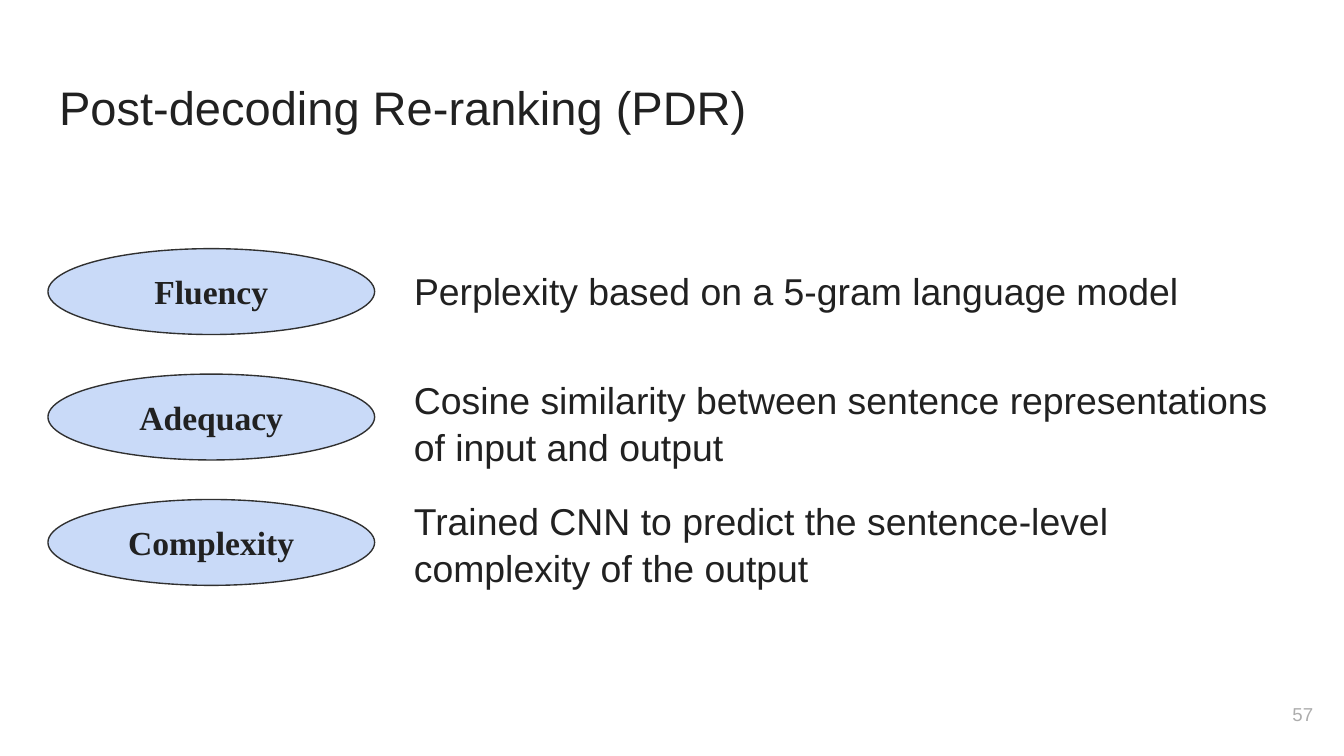
from pptx import Presentation
from pptx.dml.color import RGBColor as RGB
from pptx.enum.shapes import MSO_SHAPE as Form
from pptx.enum.text import MSO_ANCHOR as Anchor, MSO_AUTO_SIZE as Fit, PP_ALIGN as Align
from pptx.oxml.ns import qn
from pptx.util import Pt
from lxml.etree import SubElement

INK = RGB(0x21, 0x21, 0x21)
EDGE = RGB(0x30, 0x30, 0x30)
BLUE = RGB(0xC9, 0xDA, 0xF8)
GRAY = RGB(0xAD, 0xAD, 0xAD)

TERMS = ["Fluency", "Adequacy", "Complexity"]
NOTES = [
    ("Cosine similarity between sentence representations of input and output", 193.6, 481),
    ("Trained CNN to predict the sentence-level complexity of the output", 258.7, 438.5),
]


def place(shape, left, top, width, height):
    shape.left, shape.top = Pt(left), Pt(top)
    shape.width, shape.height = Pt(width), Pt(height)


def write(shape, text, size, color=INK, face="Arial", bold=False,
          align=Align.LEFT, anchor=Anchor.TOP, inset=7.2, after=0, line=1):
    frame = shape.text_frame
    frame.text = text
    frame.word_wrap = True
    frame.auto_size = Fit.NONE
    frame.vertical_anchor = anchor
    frame.margin_left = frame.margin_right = Pt(inset)
    frame.margin_top = frame.margin_bottom = Pt(inset)
    para = frame.paragraphs[0]
    para.alignment = align
    para.space_before = Pt(0)
    para.space_after = Pt(after)
    para.line_spacing = line
    font = para.runs[0].font
    font.name, font.size, font.bold = face, Pt(size), bold
    font.color.rgb = color
    return para


def add_text(slide, text, box, size, **style):
    shape = slide.shapes.add_textbox(*map(Pt, box))
    write(shape, text, size, **style)


def add_term(slide, text, top):
    oval = slide.shapes.add_shape(Form.OVAL, Pt(25.7), Pt(top), Pt(175), Pt(46))
    oval.shadow.inherit = False
    oval.fill.solid()
    oval.fill.fore_color.rgb = BLUE
    oval.line.color.rgb = EDGE
    oval.line.width = Pt(0.75)
    write(oval, text, 18, face="Times New Roman", bold=True,
          align=Align.CENTER, anchor=Anchor.MIDDLE)


def fill_body(body, text):
    place(body, 221.8, 142.6, 473.8, 45.4)
    para = write(body, text, 20, inset=0, after=12, line=1.05)
    props = para._p.get_or_add_pPr()
    props.set("marL", "0")
    props.set("indent", "0")
    SubElement(props, qn("a:buNone"))


def main():
    deck = Presentation()
    deck.slide_width, deck.slide_height = Pt(720), Pt(405)
    slide = deck.slides.add_slide(deck.slide_layouts[1])
    title, body = slide.placeholders
    place(title, 24.5, 35, 671, 45.1)
    write(title, "Post-decoding Re-ranking (PDR)", 25.2)
    fill_body(body, "Perplexity based on a 5-gram language model")
    for row, term in enumerate(TERMS):
        add_term(slide, term, 133.2 + 67.2 * row)
    for text, top, width in NOTES:
        add_text(slide, text, (214.6, top, width, 59), 20, after=16, line=1.05)
    add_text(slide, "57", (667.4, 367.2, 43.2, 31), 10, color=GRAY,
             align=Align.RIGHT, anchor=Anchor.MIDDLE)
    deck.save("out.pptx")


if __name__ == "__main__":
    main()
